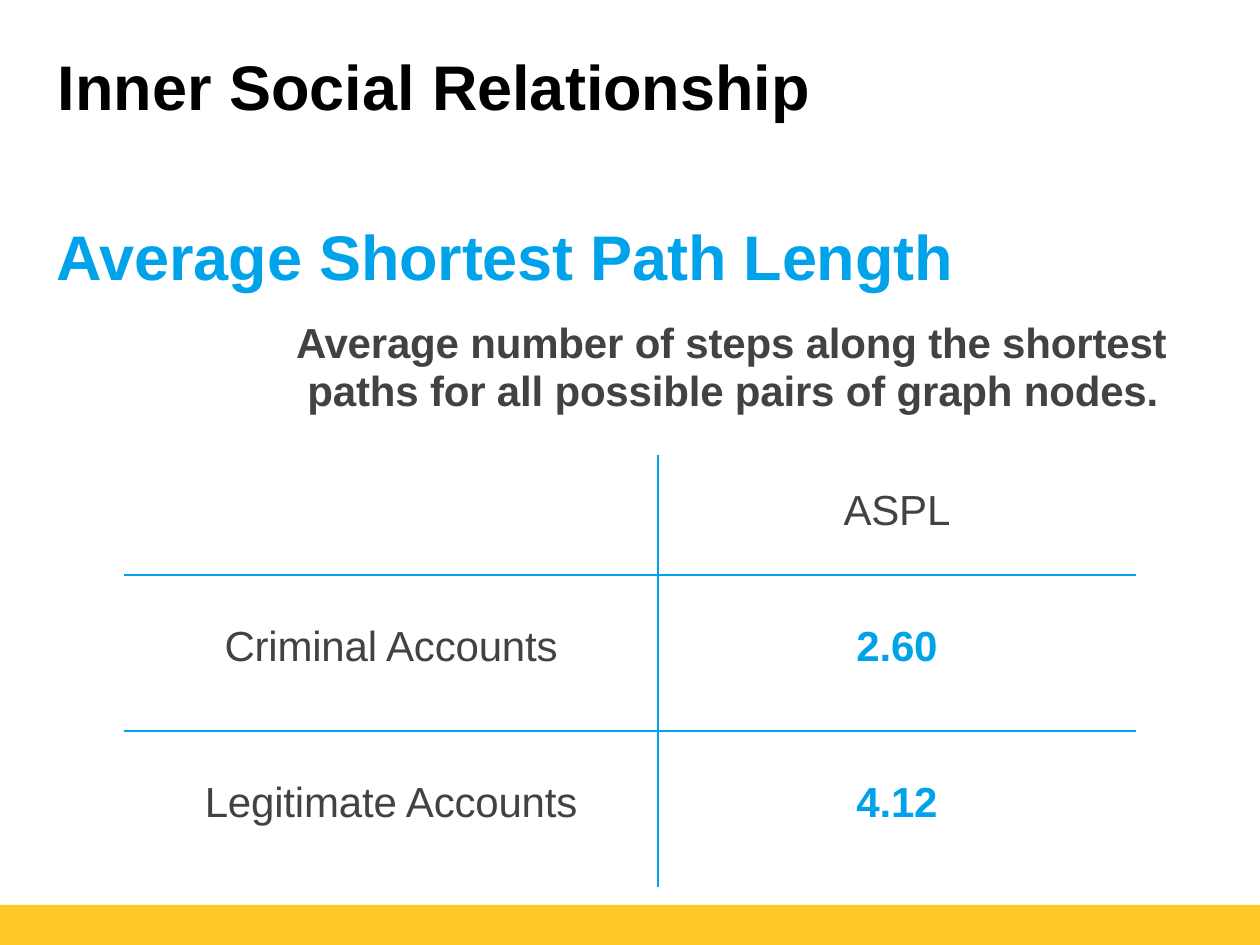
"""Build the average shortest path length slide."""
import pptx
import pptx.dml.color
import pptx.enum.shapes
import pptx.enum.text
import pptx.oxml
import pptx.oxml.ns
import pptx.util

PX = 914400 // 126
BLACK = pptx.dml.color.RGBColor(0x00, 0x00, 0x00)
BLUE = pptx.dml.color.RGBColor(0x00, 0xA3, 0xE9)
GREY = pptx.dml.color.RGBColor(0x42, 0x42, 0x42)
YELLOW = pptx.dml.color.RGBColor(0xFF, 0xCA, 0x29)


def add_run(p, text, size, color, bold, spacing=-10):
    r = p.add_run()
    r.text = text
    r.font.name = "Arial"
    r.font.size = pptx.util.Pt(size)
    r.font.bold = bold
    r.font.color.rgb = color
    r.font._element.set("spc", str(spacing))


def add_text_box(left, top, width, height, inset):
    sp = s.shapes.add_textbox(left * PX, top * PX, width * PX, height * PX)
    tf = sp.text_frame
    tf.word_wrap = True
    tf.margin_left = tf.margin_right = tf.margin_bottom = 0
    tf.margin_top = inset * PX
    return tf


prs = pptx.Presentation()
prs.slide_width = 1260 * PX
prs.slide_height = 945 * PX
s = prs.slides.add_slide(prs.slide_layouts[6])

band = s.shapes.add_shape(
    pptx.enum.shapes.MSO_SHAPE.RECTANGLE, 0, 905 * PX, 1260 * PX, 40 * PX)
band.shadow.inherit = False
band.fill.solid()
band.fill.fore_color.rgb = YELLOW
band.line.fill.background()

tf = add_text_box(58, 24, 1086, 113, 10)
tf.vertical_anchor = pptx.enum.text.MSO_ANCHOR.MIDDLE
add_run(tf.paragraphs[0], "Inner Social Relationship", 36, BLACK, True, 0)

tf = add_text_box(55, 179, 1121, 232, 39)
p = tf.paragraphs[0]
p._p.get_or_add_pPr().set("marL", str(2 * PX))
add_run(p, "Average Shortest Path Length", 36, BLUE, True)
p = tf.add_paragraph()
p._p.get_or_add_pPr().set("marL", str(241 * PX))
p.line_spacing = pptx.util.Pt(27.6)
p.space_before = pptx.util.Pt(14.2)
add_run(p, "Average number of steps along the shortest", 24, GREY, True)
p.add_line_break()
add_run(p, " paths for all possible pairs of graph nodes.", 24, GREY, True)

rows = [
    (120, 8, "", "ASPL"),
    (156, 12, "Criminal Accounts", "2.60"),
    (156, 12, "Legitimate Accounts", "4.12"),
]
table = s.shapes.add_table(
    len(rows), 2, 124 * PX, 455 * PX, 1012 * PX, 432 * PX).table
table.first_row = False
table.horz_banding = False
for column, width in zip(table.columns, (534, 478)):
    column.width = width * PX

for i, (height, lift, *texts) in enumerate(rows):
    table.rows[i].height = height * PX
    for j, text in enumerate(texts):
        cell = table.cell(i, j)
        cell.margin_left = cell.margin_right = cell.margin_top = 0
        cell.margin_bottom = lift * PX
        cell.vertical_anchor = pptx.enum.text.MSO_ANCHOR.MIDDLE
        if text:
            p = cell.text_frame.paragraphs[0]
            p.alignment = pptx.enum.text.PP_ALIGN.CENTER
            value = i > 0 and j == 1
            add_run(p, text, 24, BLUE if value else GREY, value)
        tcPr = cell._tc.get_or_add_tcPr()
        edges = {"lnL": j == 1, "lnR": j == 0, "lnT": i > 0, "lnB": i < 2}
        for edge, shown in edges.items():
            fill = (f'<a:solidFill><a:srgbClr val="{BLUE}"/></a:solidFill>'
                    if shown else "<a:noFill/>")
            tcPr.append(pptx.oxml.parse_xml(
                f'<a:{edge} {pptx.oxml.ns.nsdecls("a")} w="9525">{fill}</a:{edge}>'))
        cell.fill.background()

prs.save("out.pptx")
